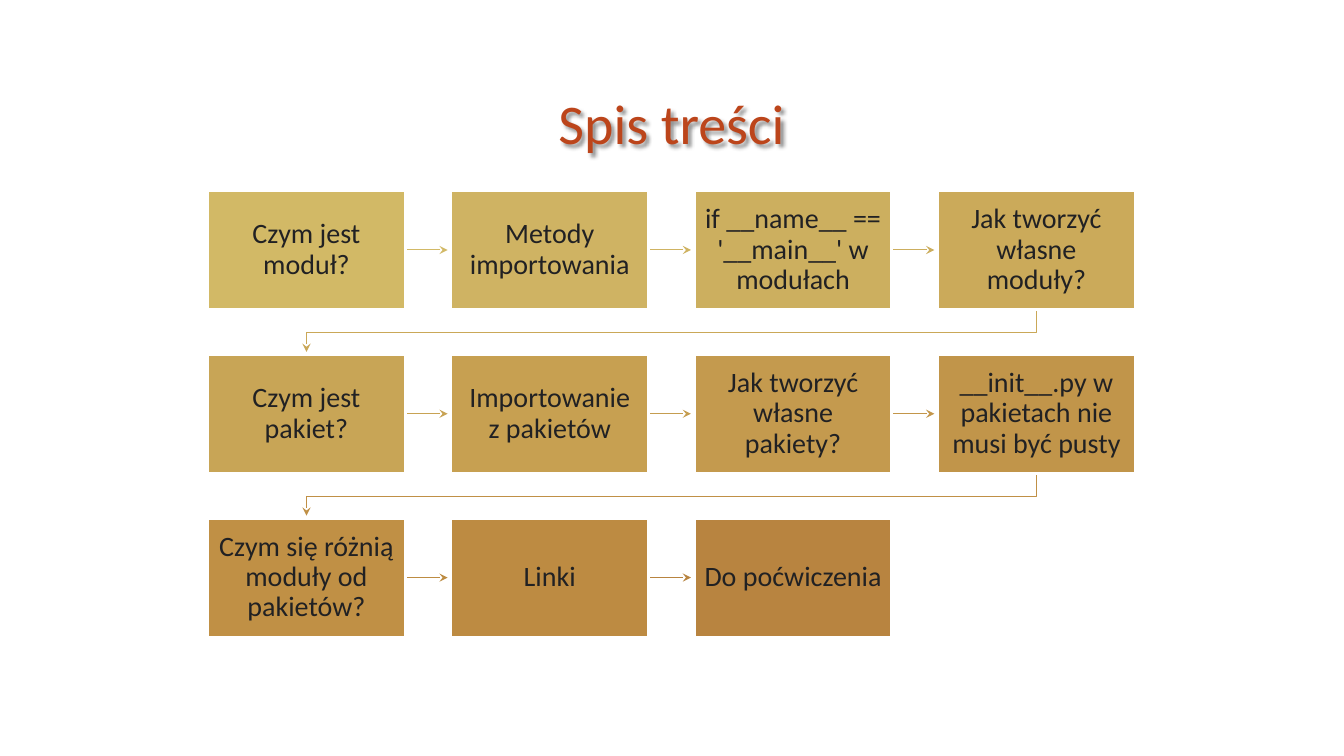
from dataclasses import dataclass

from lxml import etree
from pptx import Presentation
from pptx.dml.color import RGBColor
from pptx.enum.dml import MSO_FILL
from pptx.enum.shapes import MSO_CONNECTOR, MSO_SHAPE
from pptx.enum.text import MSO_ANCHOR, MSO_AUTO_SIZE, PP_ALIGN
from pptx.oxml.ns import qn
from pptx.slide import Slide
from pptx.util import Inches, Pt

RECTANGLE = MSO_SHAPE.RECTANGLE
STRAIGHT = MSO_CONNECTOR.STRAIGHT
MIDDLE = MSO_ANCHOR.MIDDLE
CENTER = PP_ALIGN.CENTER
NO_AUTOFIT = MSO_AUTO_SIZE.NONE

FONT = "Calibri"
WHITE = RGBColor(0xFF, 0xFF, 0xFF)
INK = RGBColor(0x21, 0x21, 0x23)
RUST = RGBColor(0xBC, 0x45, 0x1B)

COLUMNS = 4
GRID_LEFT, GRID_TOP = 2.06, 1.89
COLUMN_STEP = (9.3 - GRID_LEFT) / 3
ROW_STEP = (5.14 - GRID_TOP) / 2
BOX_WIDTH, BOX_HEIGHT = 1.96, 1.18
LINK_LENGTH = 0.42
BEND_DROP = 0.23


@dataclass(frozen=True)
class Topic:
    text: str
    fill: RGBColor
    link: RGBColor | None = None


def topic(text: str, fill: str, link: str = "") -> Topic:
    return Topic(text, RGBColor.from_string(fill), RGBColor.from_string(link) if link else None)


TOPICS = [
    topic("Czym jest moduł?", "D2B966", "D2B966"),
    topic("Metody importowania", "CFB363", "CFB362"),
    topic("if __name__ == '__main__' w modułach", "CCAF5F", "CCAE5E"),
    topic("Jak tworzyć własne moduły?", "CBAA5A", "CAA858"),
    topic("Czym jest pakiet?", "C8A556", "C8A354"),
    topic("Importowanie z pakietów", "C7A051", "C59D50"),
    topic("Jak tworzyć własne pakiety?", "C49A4E", "C3964A"),
    topic("__init__.py w pakietach nie musi być pusty", "C1954A", "C09046"),
    topic("Czym się różnią moduły od pakietów?", "C09045", "BD8C42"),
    topic("Linki", "BD8B42", "B88440"),
    topic("Do poćwiczenia", "B88440"),
]


def style_text(shape, text: str, size: int, color: RGBColor, spacing: float) -> None:
    frame = shape.text_frame
    frame.text = text
    frame.word_wrap = True
    frame.auto_size = NO_AUTOFIT
    frame.vertical_anchor = MIDDLE
    frame.margin_left = frame.margin_right = Inches(0.1)
    paragraph = frame.paragraphs[0]
    paragraph.alignment = CENTER
    paragraph.line_spacing = spacing
    paragraph.font.name = FONT
    paragraph.font.size = Pt(size)
    paragraph.font.color.rgb = color


def add_title(slide: Slide) -> None:
    title = slide.shapes.title
    title.left, title.top = Inches(1), Inches(0.68)
    title.width, title.height = Inches(11.32), Inches(1.06)
    style_text(title, "Spis treści", 40, RUST, 1.0)
    effects = etree.SubElement(title._element.spPr, qn("a:effectLst"))
    shadow = etree.SubElement(effects, qn("a:outerShdw"), blurRad="38100",
                              dist="25400", dir="2700000", algn="tl")
    shade = etree.SubElement(shadow, qn("a:srgbClr"), val="000000")
    etree.SubElement(shade, qn("a:alpha"), val="43000")


def finish_arrow(arrow, color: RGBColor) -> None:
    arrow.line.color.rgb = color
    arrow.line.width = Pt(0.75)
    properties = arrow._element.spPr
    etree.SubElement(properties.find(qn("a:ln")), qn("a:tailEnd"), type="stealth")
    etree.SubElement(properties, qn("a:effectLst"))


def add_link(slide: Slide, left: float, top: float, color: RGBColor) -> None:
    start, middle = left + BOX_WIDTH, top + BOX_HEIGHT / 2
    arrow = slide.shapes.add_connector(STRAIGHT, Inches(start), Inches(middle),
                                       Inches(start + LINK_LENGTH), Inches(middle))
    finish_arrow(arrow, color)


def add_row_return(slide: Slide, left: float, top: float, color: RGBColor) -> None:
    start, bottom = left + BOX_WIDTH / 2, top + BOX_HEIGHT
    end = GRID_LEFT + BOX_WIDTH / 2
    bend = bottom + BEND_DROP
    builder = slide.shapes.build_freeform(Inches(start), Inches(bottom))
    corners = [(start, bend), (end, bend), (end, bottom + LINK_LENGTH)]
    builder.add_line_segments([(Inches(x), Inches(y)) for x, y in corners], close=False)
    arrow = builder.convert_to_shape()
    arrow.fill.background()
    finish_arrow(arrow, color)


def add_box(slide: Slide, item: Topic, left: float, top: float) -> None:
    box = slide.shapes.add_shape(RECTANGLE, Inches(left), Inches(top),
                                 Inches(BOX_WIDTH), Inches(BOX_HEIGHT))
    box.shadow.inherit = False
    box.fill.solid()
    box.fill.fore_color.rgb = item.fill
    box.line.color.rgb = WHITE
    box.line.width = Pt(2)
    style_text(box, item.text, 20, INK, 0.9)
    box.text_frame.margin_top = box.text_frame.margin_bottom = Inches(0.1)


def main() -> None:
    presentation = Presentation()
    presentation.slide_width, presentation.slide_height = Inches(13.33), Inches(7.5)
    slide = presentation.slides.add_slide(presentation.slide_layouts[5])
    add_title(slide)
    for index, item in enumerate(TOPICS):
        row, column = divmod(index, COLUMNS)
        left, top = GRID_LEFT + column * COLUMN_STEP, GRID_TOP + row * ROW_STEP
        if item.link is not None:
            draw_link = add_row_return if column == COLUMNS - 1 else add_link
            draw_link(slide, left, top, item.link)
        add_box(slide, item, left, top)
    presentation.save("out.pptx")


if __name__ == "__main__":
    main()
